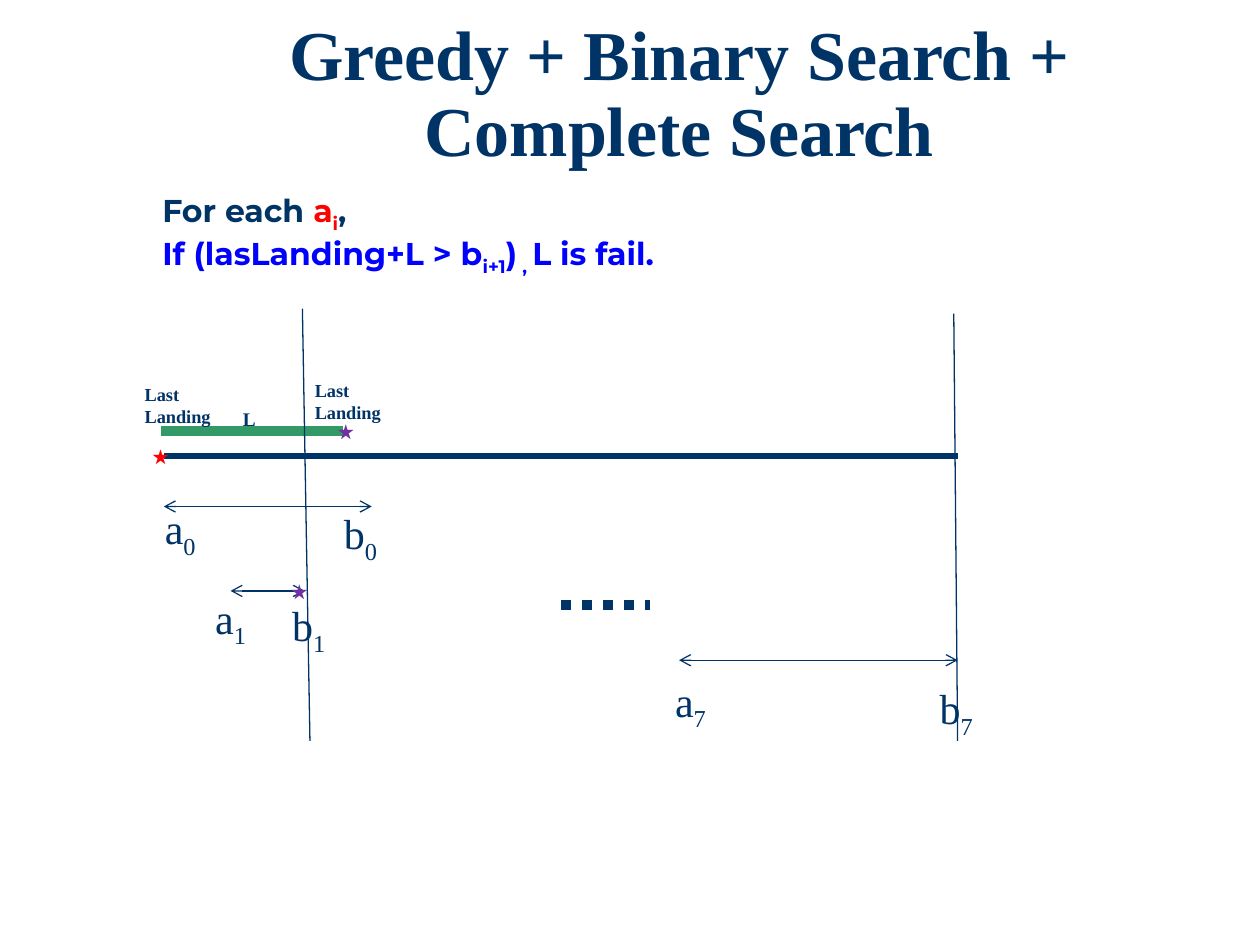
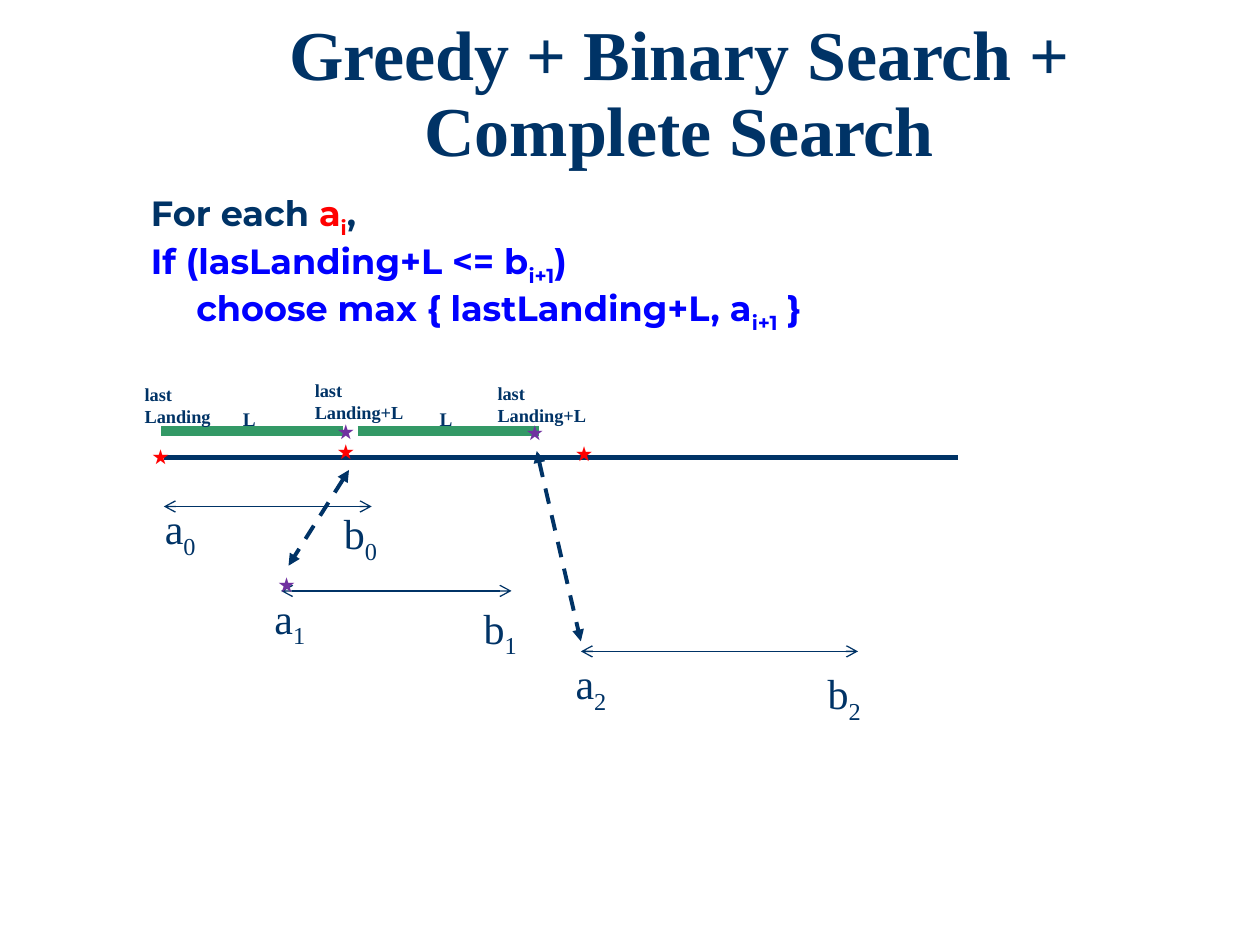
from pptx import Presentation
from pptx.dml.color import RGBColor
from pptx.enum.dml import MSO_LINE_DASH_STYLE as Dash
from pptx.enum.shapes import MSO_CONNECTOR as Connector
from pptx.enum.text import MSO_ANCHOR as Anchor, MSO_AUTO_SIZE as Fit, PP_ALIGN as Align
from pptx.oxml.ns import qn
from pptx.util import Inches, Pt
from lxml.etree import SubElement

COLORS = dict(navy="003366", red="FF0000", blue="0000FF", green="339966", purple="7030A0")
SERIF, SANS = "Times New Roman", "Montserrat"
COLUMNS, ROWS = 10, 7.5
TITLE = "Greedy + Binary Search + Complete Search"
FOR_EACH = [("For each ", "navy"), ("a~i~", "red"), (",", "navy")]

AXIS = (1.3, 7.6)
BAR_ROW, BAR_LENGTH = 3.42, 1.44
FIRST_INTERVAL = ("0", 4.02, (1.3, 2.95), (1.21, 3.94), (2.63, 3.98))
START_STAR, LANDING_STAR = (1.11, 3.47, "red"), (2.58, 3.27, "purple")

# fmt: off
FAIL_STEP = dict(
    rule=[FOR_EACH, [("If (lasLanding+L > b~i+1~)~ , ~L is fail.", "blue")]],
    rule_place=(1.19, 1.47, 4.57, 0.71), rule_size=18, axis_row=3.62,
    intervals=[
        FIRST_INTERVAL,
        ("1", 4.69, (1.83, 2.42), (1.61, 4.65), (2.22, 4.71)),
        ("7", 5.24, (5.39, 7.6), (5.26, 5.31), (7.36, 5.37)),
    ],
    bars=[1.28],
    landings=[(1.05, 2.99, 0.73, "Last", "Landing"), (2.4, 2.96, 0.73, "Last", "Landing")],
    stars=[START_STAR, LANDING_STAR, (2.21, 4.54, "purple")],
    omitted=[((4.45, 4.8), (5.16, 4.8))],
    limits=[((2.4, 2.45), (2.46, 5.88)), ((7.57, 2.49), (7.6, 5.88))],
    choices=[],
)
CHOOSE_STEP = dict(
    rule=[FOR_EACH, [("If (lasLanding+L <= b~i+1~)", "blue")],
          [("choose max { lastLanding+L, a~i+1~ }", "blue")]],
    rule_place=(1.1, 1.47, 5.84, 1.11), rule_size=20, axis_row=3.63,
    intervals=[
        FIRST_INTERVAL,
        ("1", 4.69, (2.23, 4.06), (2.08, 4.65), (3.74, 4.73)),
        ("2", 5.17, (4.61, 6.81), (4.47, 5.17), (6.47, 5.25)),
    ],
    bars=[1.28, 2.84],
    landings=[(1.05, 2.99, 0.73, "last", "Landing"), (2.4, 2.96, 0.92, "last", "Landing+L"),
              (3.85, 2.98, 0.92, "last", "Landing+L")],
    stars=[START_STAR, LANDING_STAR, (2.11, 4.49, "purple"), (2.58, 3.43, "red"),
           (4.47, 3.45, "red"), (4.08, 3.28, "purple")],
    omitted=[],
    limits=[],
    choices=[((4.26, 3.58), (4.61, 5.09)), ((2.77, 3.73), (2.29, 4.49))],
)
# fmt: on


def write(shapes, place, paragraphs, size, color="navy", font=SERIF, bold=False,
          wrap=False, align=Align.LEFT, spacing=None, indents=()):
    """Write paragraphs of (text, colour) parts or plain strings; ~x~ lowers x."""
    frame = shapes.add_textbox(*map(Inches, place)).text_frame
    frame.word_wrap = wrap
    frame.auto_size = Fit.NONE if wrap else Fit.SHAPE_TO_FIT_TEXT
    frame.vertical_anchor = Anchor.MIDDLE if wrap else Anchor.TOP
    for number, parts in enumerate(paragraphs):
        paragraph = frame.add_paragraph() if number else frame.paragraphs[0]
        paragraph.alignment, paragraph.line_spacing = align, spacing
        if number < len(indents):
            paragraph._p.get_or_add_pPr().set("marL", str(Inches(indents[number])))
        for text, tint in [(parts, color)] if isinstance(parts, str) else parts:
            for order, piece in enumerate(text.split("~")):
                if not piece:
                    continue
                run = paragraph.add_run()
                run.text = piece
                run.font.name, run.font.size, run.font.bold = font, Pt(size), bold
                run.font.color.rgb = RGBColor.from_string(COLORS[tint])
                if order % 2:
                    run._r.get_or_add_rPr().set("baseline", "-25000")


def draw_line(shapes, start, end, width=0.75, color="navy", dash=None, heads=None):
    """Draw a straight line, with the same arrowhead at both ends if given."""
    connector = shapes.add_connector(Connector.STRAIGHT, *map(Inches, start + end))
    connector.line.width = Pt(width)
    connector.line.color.rgb = RGBColor.from_string(COLORS[color])
    if dash:
        connector.line.dash_style = dash
    properties = connector._element.spPr
    if heads:
        for tag in ("a:headEnd", "a:tailEnd"):
            SubElement(properties.find(qn("a:ln")), qn(tag)).set("type", heads)
    SubElement(properties, qn("a:effectLst"))


def build_step(slide, step):
    """Draw one step of the search."""
    shapes = slide.shapes
    write(shapes, (1.39, 0.13, 8, 1.26), [TITLE], 40, bold=True, wrap=True,
          align=Align.CENTER, spacing=0.9)
    draw_line(shapes, (AXIS[0], step["axis_row"]), (AXIS[1], step["axis_row"]), width=3)
    for index, row, (start, end), a_corner, b_corner in step["intervals"]:
        draw_line(shapes, (start, row), (end, row), heads="arrow")
        write(shapes, a_corner + (0.46, 0.5), [f"a~{index}~"], 24)
        write(shapes, b_corner + (0.48, 0.5), [f"b~{index}~"], 24)
    for start, end in step["omitted"]:
        draw_line(shapes, start, end, width=6, dash=Dash.ROUND_DOT)
    for left in step["bars"]:
        jump = shapes.add_group_shape().shapes
        draw_line(jump, (left, BAR_ROW), (left + BAR_LENGTH, BAR_ROW), width=6, color="green")
        write(jump, (left + 0.55, BAR_ROW - 0.24, 0.31, 0.29), ["L"], 11, bold=True)
    for left, top, width, *words in step["landings"]:
        write(shapes, (left, top, width, 0.45), words, 10.5, bold=True)
    for left, top, color in step["stars"]:
        write(shapes, (left, top, 0.37, 0.3), ["★"], 12, color=color)
    write(shapes, step["rule_place"], step["rule"], step["rule_size"], font=SANS, bold=True,
          indents=(0, 0, 0.36))
    for start, end in step["limits"]:
        draw_line(shapes, start, end)
    for start, end in step["choices"]:
        draw_line(shapes, start, end, width=2.25, dash=Dash.DASH, heads="triangle")


def main():
    """Build both steps and save the deck."""
    deck = Presentation()
    deck.slide_width, deck.slide_height = Inches(COLUMNS), Inches(ROWS)
    for step in (FAIL_STEP, CHOOSE_STEP):
        build_step(deck.slides.add_slide(deck.slide_layouts[6]), step)
    deck.save("out.pptx")


if __name__ == "__main__":
    main()
